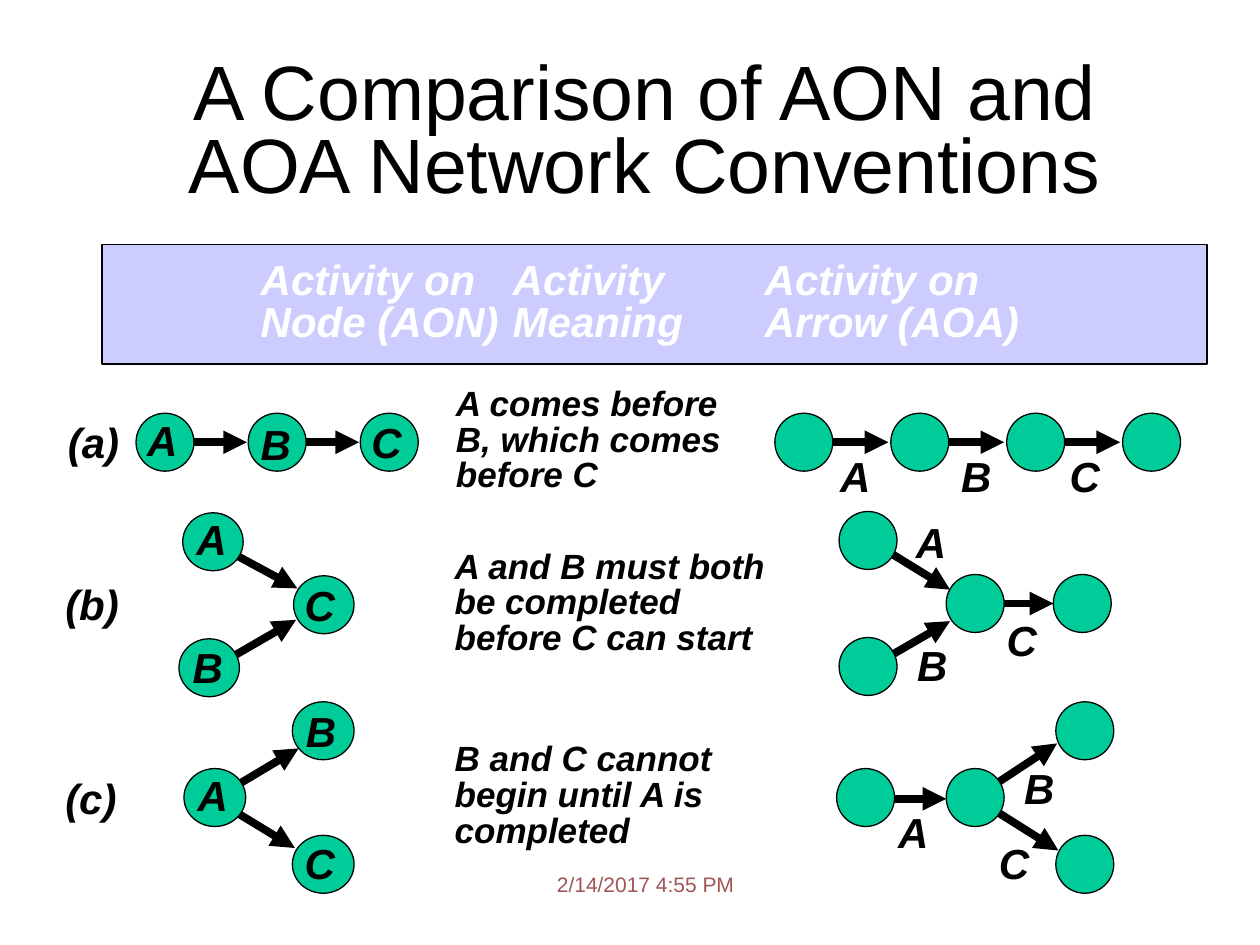
from dataclasses import dataclass

import lxml.etree
import pptx
import pptx.dml.color
import pptx.enum.shapes
import pptx.enum.text
import pptx.oxml.ns
import pptx.util

Inches = pptx.util.Inches
Point = tuple[float, float]

COLORS = {
    "ink": "000000",
    "node": "00CC99",
    "band": "CCCCFF",
    "heading": "FFFFFF",
    "date": "9F5555",
}
NODE_HEIGHT = 0.46
ARROW_NODE_WIDTH = 0.46
LETTER_WIDTH = 0.44
TAG_WIDTH = 0.66


@dataclass
class Network:
    node_width: float
    nodes: list[Point]
    arrows: list[tuple[Point, Point]]
    letters: dict[str, Point]


@dataclass
class Convention:
    tag: str
    tag_at: Point
    meaning: str
    meaning_at: Point
    meaning_width: float
    on_node: Network
    on_arrow: Network


CONVENTIONS = [
    Convention(
        "(a)", (0.44, 3.26),
        "A comes before B, which comes before C", (3.52, 3.03), 2.31,
        Network(
            0.46,
            [(1.08 + 0.89 * step, 3.28) for step in range(3)],
            [((1.45 + 0.89 * step, 3.51), (1.96 + 0.89 * step, 3.51)) for step in range(2)],
            {"A": (1.07, 3.24), "B": (1.97, 3.27), "C": (2.85, 3.26)},
        ),
        Network(
            ARROW_NODE_WIDTH,
            [(6.15 + 0.92 * step, 3.28) for step in range(4)],
            [((6.54 + 0.92 * step, 3.51), (7.05 + 0.92 * step, 3.51)) for step in range(3)],
            {"A": (6.57, 3.53), "B": (7.53, 3.53), "C": (8.39, 3.53)},
        ),
    ),
    Convention(
        "(b)", (0.42, 4.54),
        "A and B must both be completed before C can start", (3.51, 4.32), 2.69,
        Network(
            0.48,
            [(1.45, 4.07), (1.42, 5.07), (2.33, 4.57)],
            [((1.75, 4.34), (2.36, 4.67)), ((1.71, 5.29), (2.35, 4.92))],
            {"A": (1.46, 4.03), "B": (1.43, 5.04), "C": (2.32, 4.55)},
        ),
        Network(
            ARROW_NODE_WIDTH,
            [(7.51, 4.56), (8.36, 4.56), (6.66, 4.06), (6.66, 5.06)],
            [((7.02, 4.36), (7.54, 4.68)), ((7.04, 5.22), (7.54, 4.93)),
             ((7.84, 4.79), (8.36, 4.79))],
            {"A": (7.17, 4.05), "B": (7.18, 5.03), "C": (7.89, 4.83)},
        ),
    ),
    Convention(
        "(c)", (0.42, 6.08),
        "B and C cannot begin until A is completed", (3.51, 5.85), 2.38,
        Network(
            0.49,
            [(2.32, 5.57), (1.46, 6.1), (2.32, 6.63)],
            [((1.85, 6.25), (2.37, 5.94)), ((1.83, 6.42), (2.34, 6.73))],
            {"A": (1.47, 6.06), "B": (2.33, 5.55), "C": (2.32, 6.6)},
        ),
        Network(
            ARROW_NODE_WIDTH,
            [(6.64, 6.1), (7.51, 6.1), (8.38, 5.57), (8.38, 6.63)],
            [((6.99, 6.34), (7.51, 6.34)), ((7.86, 6.25), (8.39, 5.9)),
             ((7.86, 6.41), (8.4, 6.75))],
            {"A": (7.03, 6.35), "B": (8.03, 6), "C": (7.83, 6.6)},
        ),
    ),
]


def rgb(name: str) -> pptx.dml.color.RGBColor:
    return pptx.dml.color.RGBColor.from_string(COLORS[name])


def style(paragraph, size: float, color: str = "ink", strong: bool = True) -> None:
    font = paragraph.font
    font.name = "Arial"
    font.size = pptx.util.Pt(size)
    font.bold = font.italic = strong
    font.color.rgb = rgb(color)


def add_block(shapes, kind, at: Point, width: float, height: float, fill: str):
    block = shapes.add_shape(kind, Inches(at[0]), Inches(at[1]), Inches(width), Inches(height))
    block.shadow.inherit = False
    block.fill.solid()
    block.fill.fore_color.rgb = rgb(fill)
    block.line.color.rgb = rgb("ink")
    block.line.width = pptx.util.Pt(0.75)
    return block


def add_arrow(shapes, start: Point, end: Point) -> None:
    arrow = shapes.add_connector(
        pptx.enum.shapes.MSO_CONNECTOR.STRAIGHT, *(Inches(value) for value in start + end))
    arrow.line.color.rgb = rgb("ink")
    arrow.line.width = pptx.util.Pt(4.5)
    qn = pptx.oxml.ns.qn
    properties = arrow._element.spPr
    lxml.etree.SubElement(properties.get_or_add_ln(), qn("a:tailEnd"), type="triangle")
    lxml.etree.SubElement(properties, qn("a:effectLst"))


def add_text(shapes, text: str, at: Point, width: float, height: float, wrap: bool):
    box = shapes.add_textbox(Inches(at[0]), Inches(at[1]), Inches(width), Inches(height))
    box.text_frame.word_wrap = wrap
    box.text_frame.text = text
    return box.text_frame


def add_label(shapes, text: str, at: Point, width: float) -> None:
    label = add_text(shapes, text, at, width, 0.5, wrap=False)
    style(label.paragraphs[0], 24)


def add_network(shapes, network: Network) -> None:
    for start, end in network.arrows:
        add_arrow(shapes, start, end)
    for at in network.nodes:
        add_block(shapes, pptx.enum.shapes.MSO_SHAPE.OVAL, at,
                  network.node_width, NODE_HEIGHT, "node")
    for letter, at in network.letters.items():
        add_label(shapes, letter, at, LETTER_WIDTH)


def add_convention(slide, convention: Convention) -> None:
    shapes = slide.shapes.add_group_shape().shapes
    add_network(shapes, convention.on_node)
    add_network(shapes, convention.on_arrow)
    meaning = add_text(shapes, convention.meaning, convention.meaning_at,
                       convention.meaning_width, 1.23, wrap=True).paragraphs[0]
    meaning.line_spacing = 0.85
    style(meaning, 20)
    add_label(shapes, convention.tag, convention.tag_at, TAG_WIDTH)


def add_title(slide) -> None:
    title = slide.shapes.title
    title.left, title.top = Inches(0.87), Inches(0.4)
    title.width, title.height = Inches(8.5), Inches(1.34)
    frame = title.text_frame
    frame.text = "A Comparison of AON and AOA Network Conventions"
    frame.auto_size = pptx.enum.text.MSO_AUTO_SIZE.NONE
    frame.vertical_anchor = pptx.enum.text.MSO_ANCHOR.MIDDLE
    frame.paragraphs[0].alignment = pptx.enum.text.PP_ALIGN.CENTER
    frame.paragraphs[0].line_spacing = 0.8
    style(frame.paragraphs[0], 44, strong=False)


def add_headings(slide) -> None:
    band = add_block(slide.shapes, pptx.enum.shapes.MSO_SHAPE.RECTANGLE,
                     (0.81, 1.94), 8.77, 0.95, "band")
    frame = band.text_frame
    frame.margin_left = frame.margin_right = Inches(0.26)
    frame.margin_top = frame.margin_bottom = Inches(0.13)
    frame.vertical_anchor = pptx.enum.text.MSO_ANCHOR.TOP
    frame.text = "\tActivity on\tActivity\tActivity on\n\tNode (AON)\tMeaning\tArrow (AOA)"
    qn = pptx.oxml.ns.qn
    for heading in frame.paragraphs:
        heading.alignment = pptx.enum.text.PP_ALIGN.LEFT
        heading.line_spacing = 0.85
        tabs = lxml.etree.SubElement(heading._p.get_or_add_pPr(), qn("a:tabLst"))
        for stop in (1, 3, 5):
            lxml.etree.SubElement(tabs, qn("a:tab"), pos=str(Inches(stop)), algn="l")
        style(heading, 24, "heading")


def main() -> None:
    deck = pptx.Presentation()
    deck.slide_width, deck.slide_height = Inches(10), Inches(7.5)
    slide = deck.slides.add_slide(deck.slide_layouts[5])
    date = add_text(slide.shapes, "2/14/2017 4:55 PM", (4.42, 6.92), 1.67, 0.25, wrap=True)
    date.margin_left = date.margin_right = date.margin_top = date.margin_bottom = 0
    style(date.paragraphs[0], 12, "date", strong=False)
    add_title(slide)
    add_headings(slide)
    for convention in CONVENTIONS:
        add_convention(slide, convention)
    deck.save("out.pptx")


if __name__ == "__main__":
    main()
